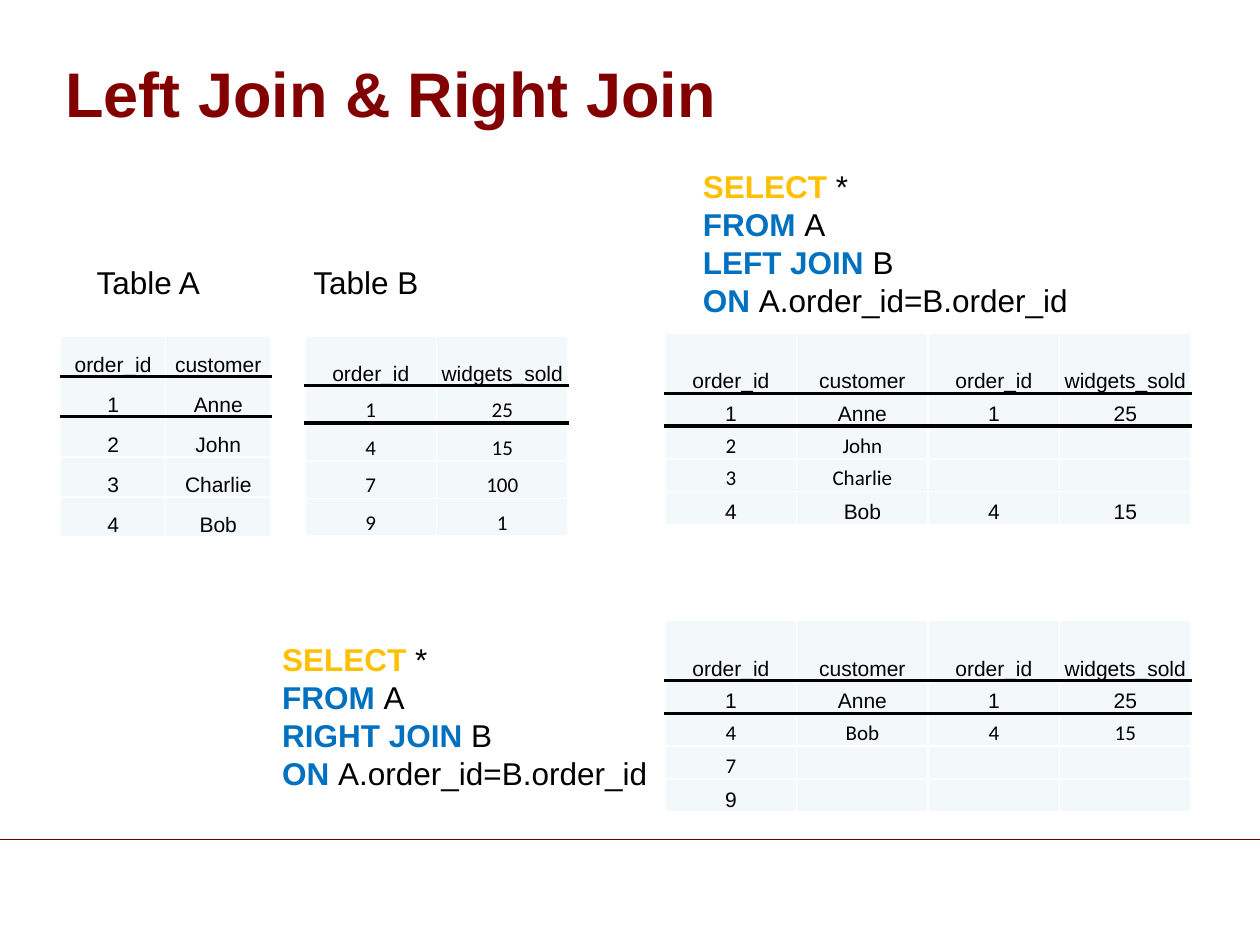
from lxml import etree
from pptx import Presentation, util as u
from pptx.dml.color import RGBColor
from pptx.enum import shapes, text
from pptx.oxml import ns

COLORS = {
    "title": "820000", "rule": "6E0000", "text": "000000", "white": "FFFFFF",
    "cell": "F3F9FA", "select": "FFC000", "keyword": "0070C0",
}


def add_text(left, top, width, height, lines, size=18):
    shape = slide.shapes.add_textbox(u.Cm(left), u.Cm(top), u.Cm(width), u.Cm(height))
    frame = shape.text_frame
    frame.word_wrap = False
    for index, line in enumerate(lines):
        paragraph = frame.paragraphs[0] if index == 0 else frame.add_paragraph()
        paragraph.font.size = u.Pt(size)
        paragraph.font.name = "Arial"
        for content, color, bold in line:
            run = paragraph.add_run()
            run.text = content
            run.font.bold = bold
            run.font.color.rgb = RGBColor.from_string(COLORS[color])
    return shape


def set_border(cell, side, color, width):
    line = etree.SubElement(cell._tc.get_or_add_tcPr(), ns.qn(f"a:{side}"), w=str(u.Pt(width)))
    fill = etree.SubElement(line, ns.qn("a:solidFill"))
    etree.SubElement(fill, ns.qn("a:srgbClr"), val=COLORS[color])


presentation = Presentation()
presentation.slide_width = u.Cm(25.4)
presentation.slide_height = u.Cm(19.05)
slide = presentation.slides.add_slide(presentation.slide_layouts[6])

rule = slide.shapes.add_connector(
    shapes.MSO_CONNECTOR.STRAIGHT, u.Cm(0), u.Cm(16.92), u.Cm(25.4), u.Cm(16.92))
rule.line.color.rgb = RGBColor.from_string(COLORS["rule"])
rule.line.width = u.Pt(0.75)
etree.SubElement(rule._element.spPr, ns.qn("a:effectLst"))

title = add_text(1.07, 0.81, 23.06, 2.11, [[("Left Join & Right Join", "title", True)]], 36)
title.text_frame.word_wrap = True
title.text_frame.vertical_anchor = text.MSO_ANCHOR.MIDDLE

for name, left in (("Table A", 1.7), ("Table B", 6.07)):
    add_text(left, 5.18, 2.62, 1.02, [[(name, "text", False)]])

for join, left, top in (("LEFT JOIN", 13.92, 3.25), ("RIGHT JOIN", 5.44, 12.78)):
    add_text(left, top, 7.9, 3.33, [
        [("SELECT ", "select", True), ("*", "text", False)],
        [("FROM ", "keyword", True), ("A", "text", False)],
        [(join, "keyword", True), (" B", "text", False)],
        [("ON ", "keyword", True), ("A.order_id=B.order_id", "text", False)],
    ])

joined_header = ["order_id", "customer", "order_id", "widgets_sold"]
tables = [
    (1.22, 6.78, 2.12, 0.81, 0.81, [], [
        ["order_id", "customer"],
        ["1", "Anne"], ["2", "John"], ["3", "Charlie"], ["4", "Bob"]]),
    (6.15, 6.78, 2.65, 0.99, 0.76, [1, 2, 3, 4], [
        ["order_id", "widgets_sold"],
        ["1", "25"], ["4", "15"], ["7", "100"], ["9", "1"]]),
    (13.41, 6.71, 2.65, 1.22, 0.66, [2, 3], [
        joined_header, ["1", "Anne", "1", "25"], ["2", "John", "", ""],
        ["3", "Charlie", "", ""], ["4", "Bob", "4", "15"]]),
    (13.41, 12.5, 2.65, 1.22, 0.66, [2, 3], [
        joined_header, ["1", "Anne", "1", "25"], ["4", "Bob", "4", "15"],
        ["7", "", "", ""], ["9", "", "", ""]]),
]

for left, top, column_width, header_height, row_height, calibri_rows, rows in tables:
    columns = len(rows[0])
    height = header_height + row_height * (len(rows) - 1)
    table = slide.shapes.add_table(
        len(rows), columns, u.Cm(left), u.Cm(top),
        u.Cm(column_width * columns), u.Cm(height)).table
    for column in table.columns:
        column.width = u.Cm(column_width)
    for row_index, values in enumerate(rows):
        table.rows[row_index].height = u.Cm(row_height if row_index else header_height)
        for column_index, value in enumerate(values):
            cell = table.cell(row_index, column_index)
            cell.margin_left = cell.margin_right = cell.margin_top = u.Cm(0.02)
            cell.margin_bottom = 0
            cell.vertical_anchor = text.MSO_ANCHOR.BOTTOM
            for side, heavy in (("lnL", False), ("lnR", False),
                                ("lnT", row_index in (1, 2)), ("lnB", row_index in (0, 1))):
                set_border(cell, side, "text" if heavy else "white", 2.25 if heavy else 1)
            cell.fill.solid()
            cell.fill.fore_color.rgb = RGBColor.from_string(COLORS["cell"])
            cell.text = value
            paragraph = cell.text_frame.paragraphs[0]
            paragraph.alignment = text.PP_ALIGN.CENTER
            paragraph.font.size = u.Pt(12)
            paragraph.font.bold = False
            paragraph.font.name = "Calibri" if row_index in calibri_rows else "Arial"
            paragraph.font.color.rgb = RGBColor.from_string(COLORS["text"])
            if not value:
                etree.SubElement(paragraph._p, ns.qn("a:endParaRPr"), sz="1200")

presentation.save("out.pptx")
